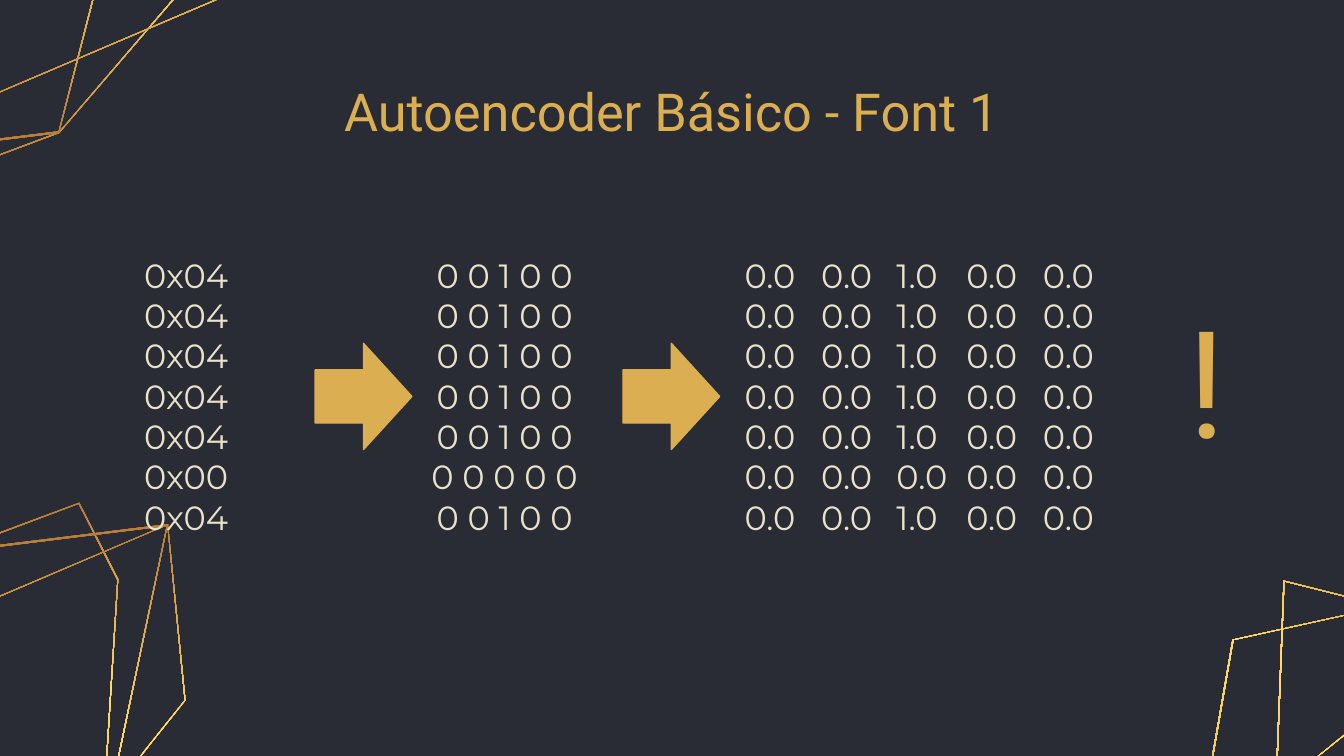
from lxml import etree
from pptx import Presentation
from pptx.dml.color import RGBColor
from pptx.enum.shapes import MSO_SHAPE as Shape
from pptx.enum.text import MSO_ANCHOR as Anchor, MSO_AUTO_SIZE as Fit, PP_ALIGN as Align
from pptx.oxml.ns import qn
from pptx.util import Inches, Pt

DARK = RGBColor(0x29, 0x2C, 0x35)
GOLD = RGBColor(0xDC, 0xAE, 0x52)
CREAM = RGBColor(0xE9, 0xE2, 0xC9)
BRONZE = RGBColor(0xAF, 0x71, 0x32)
YELLOW = RGBColor(0xFF, 0xDD, 0x6B)
STOPS = ((0, BRONZE), (50, YELLOW), (100, GOLD))

# Corners of the line art, in inches on the slide
LEFT = (
    ((-1.05, 6.75), (-1.64, 5.58), (-0.37, 4.1), (0.59, 3.74), (0.88, 4.31), (0.76, 6.23)),
    ((-0.18, 7.17), (-1.05, 6.75), (-0.37, 4.1), (1.25, 3.9), (0.76, 6.23)),
    ((-0.18, 7.17), (-1.61, 5.12), (1.25, 3.9), (1.38, 5.21)),
)
RIGHT = (
    ((8.89, 6.36), (9.17, 4.76), (11.53, 4.24), (12.75, 4.6), (12.6, 5.38), (11.06, 7.18)),
    ((9.44, 7.42), (8.89, 6.36), (11.53, 4.24), (13.28, 5.25), (11.06, 7.18)),
    ((9.43, 7.42), (9.55, 4.32), (13.28, 5.25), (12.44, 6.64)),
)
# The top art is the left art turned by half a circle
TOP = [[(0.07 - x, 5.09 - y) for x, y in ring] for ring in LEFT]
BAND = 0.01

CODES = ["0x04"] * 5 + ["0x00", "0x04"]
BITS = ["0 0 1 0 0"] * 5 + ["0 0 0 0 0", "0 0 1 0 0"]
FLOATS = ["\t".join(f"{bit}.0" for bit in row.split()) for row in BITS]
TABS = (0.57, 1.13, 1.65, 2.22)


def shade(shape, angle):
    """Fill a shape with the gold gradient at a clockwise angle."""
    shape.fill.background()
    old = shape._element.spPr.find(qn("a:noFill"))
    grad = etree.Element(qn("a:gradFill"), rotWithShape="1")
    stops = etree.SubElement(grad, qn("a:gsLst"))
    for pos, color in STOPS:
        stop = etree.SubElement(stops, qn("a:gs"), pos=str(pos * 1000))
        etree.SubElement(stop, qn("a:srgbClr"), val=str(color))
    etree.SubElement(grad, qn("a:lin"), ang=str(round(angle * 60000)), scaled="0")
    old.getparent().replace(old, grad)


def add_art(slide, rings, angle):
    """Draw each ring as a thin band between its outline and a smaller one."""
    for ring in rings:
        mid_x, mid_y = (sum(axis) / len(ring) for axis in zip(*ring))
        reach = max(abs(x - mid_x) for x, _ in ring)
        pen = None
        for scale in (1, 1 - BAND / reach):
            points = [(Inches(mid_x + (x - mid_x) * scale),
                       Inches(mid_y + (y - mid_y) * scale)) for x, y in ring]
            if pen is None:
                pen = slide.shapes.build_freeform(*points[0])
            else:
                pen.move_to(*points[0])
            pen.add_line_segments(points[1:], close=True)
        band = pen.convert_to_shape()
        band.shadow.inherit = False
        band.line.fill.background()
        shade(band, angle)


def set_text(shape, lines, font, size, color, align=Align.CENTER):
    frame = shape.text_frame
    frame.text = "\n".join(lines)
    frame.word_wrap = True
    frame.auto_size = Fit.NONE
    frame.vertical_anchor = Anchor.MIDDLE
    frame.margin_left = frame.margin_right = Inches(0.1)
    frame.margin_top = frame.margin_bottom = Inches(0.1)
    for para in frame.paragraphs:
        para.alignment = align
        for run in para.runs:
            run.font.name, run.font.size = font, Pt(size)
            run.font.color.rgb = color
    return frame


def add_title(slide, left, top, width, height):
    title = slide.shapes.title
    title.left, title.top = Inches(left), Inches(top)
    title.width, title.height = Inches(width), Inches(height)
    set_text(title, ["Autoencoder Básico - Font 1"], "Roboto", 28, GOLD)


def add_text(slide, box, lines, font="Montserrat", size=18, color=CREAM, align=Align.CENTER):
    shape = slide.shapes.add_textbox(*map(Inches, box))
    return set_text(shape, lines, font, size, color, align)


def add_floats(slide, box):
    """Line up the decoded values with tab stops."""
    frame = add_text(slide, box, FLOATS, align=Align.LEFT)
    frame.margin_left = Inches(0.22)
    for para in frame.paragraphs:
        props = para._p.get_or_add_pPr()
        tabs = etree.SubElement(props, qn("a:tabLst"))
        for pos in TABS:
            etree.SubElement(tabs, qn("a:tab"), pos=str(Inches(pos)), algn="l")


def add_arrow(slide, left, top, width, height):
    arrow = slide.shapes.add_shape(Shape.DOWN_ARROW, *map(Inches, (left, top, width, height)))
    arrow.rotation = 270
    arrow.shadow.inherit = False
    arrow.fill.solid()
    arrow.fill.fore_color.rgb = GOLD
    arrow.line.color.rgb = GOLD
    arrow.line.width = Pt(0.75)


def main():
    deck = Presentation()
    deck.slide_width = Inches(10)
    deck.slide_height = deck.slide_width * 9 // 16
    slide = deck.slides.add_slide(deck.slide_layouts[5])
    slide.background.fill.solid()
    slide.background.fill.fore_color.rgb = DARK

    # Line art in the corners
    for rings, angle in ((LEFT, 84.4), (TOP, 264.4), (RIGHT, 121.4)):
        add_art(slide, rings, angle)

    # Title and the three steps of the flow
    add_title(slide, 2.18, 0.59, 5.63, 0.47)
    add_text(slide, (0.58, 2.15, 1.61, 1.59), CODES)
    add_text(slide, (2.95, 2.15, 1.61, 1.59), BITS)
    add_floats(slide, (5.32, 1.46, 3.09, 2.97))
    add_text(slide, (8.17, 2.1, 1.61, 1.43), ["!"], "Roboto", 80, GOLD)
    for left in (2.31, 4.6):
        add_arrow(slide, left, 2.59, 0.79, 0.72)

    deck.save("out.pptx")


if __name__ == "__main__":
    main()
